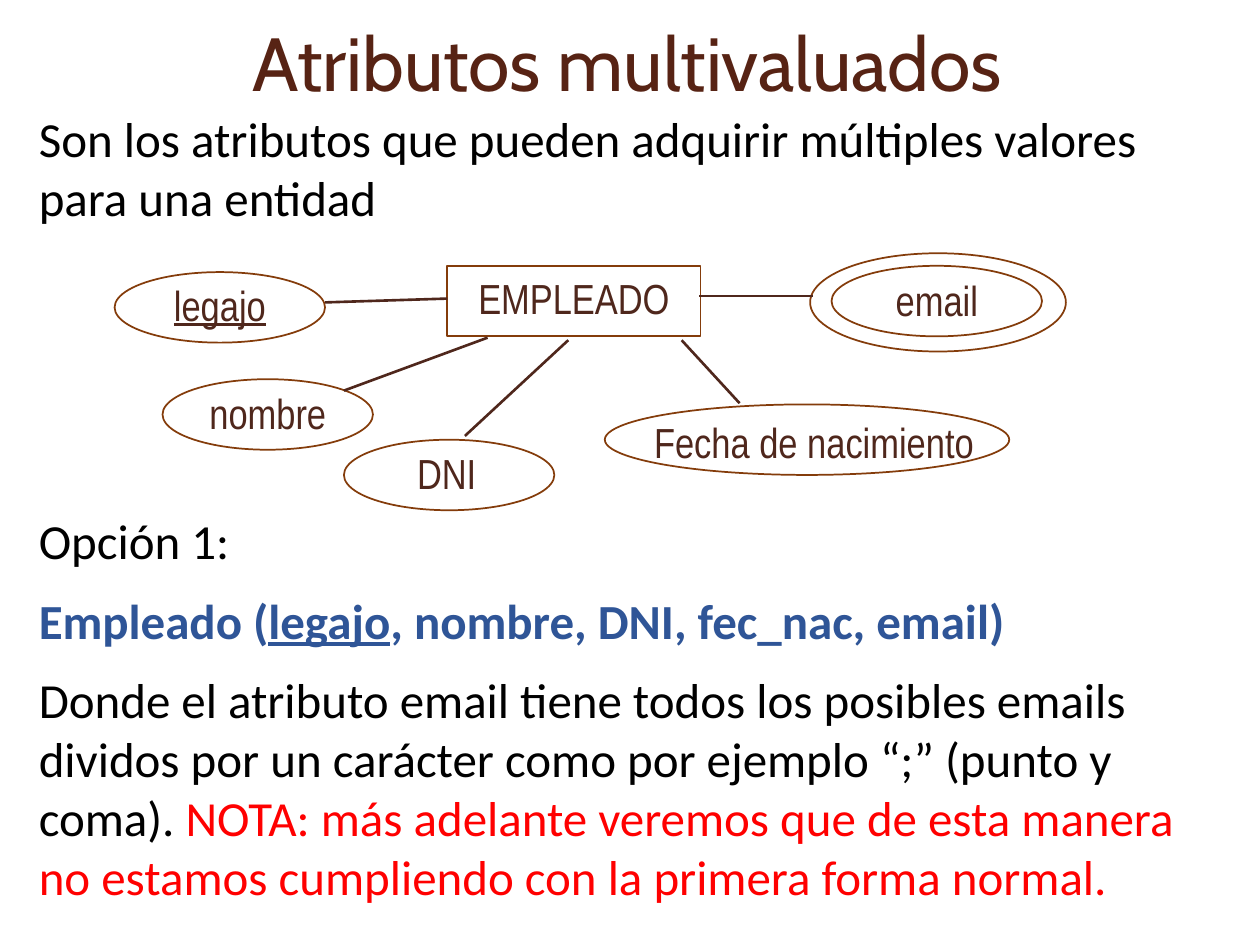
from lxml.etree import SubElement
from pptx import Presentation
from pptx.dml.color import RGBColor
from pptx.enum.shapes import MSO_CONNECTOR as Connector, MSO_SHAPE as Shape
from pptx.enum.text import MSO_ANCHOR as Anchor, MSO_AUTO_SIZE as AutoSize, PP_ALIGN as Align
from pptx.oxml.ns import qn
from pptx.util import Inches, Pt

COLUMNS, ROWS = 100, 75
BLACK, BLUE, RED = "000000", "2F5597", "FF0000"


def color(hex_code):
    """Turn a hex string into a colour."""
    return RGBColor.from_string(hex_code)


class DiagramSlide:
    """Hold the style and the current slide, and draw on a grid of cells."""

    title_font, body_font, label_font = "Cabin", "Calibri", "Arial Narrow"
    title_color, ink, outline = "572314", "4F271C", "843C0B"

    def __init__(self, deck):
        """Add a title-only slide and measure its grid."""
        self.slide = deck.slides.add_slide(deck.slide_layouts[5])
        self.column = deck.slide_width / COLUMNS
        self.row = deck.slide_height / ROWS

    def place(self, *cells):
        """Convert alternating columns and rows to lengths."""
        units = (self.column, self.row)
        return [round(cell * units[i % 2]) for i, cell in enumerate(cells)]

    def span(self, para, text, font, size, hex_code, bold=False, underline=False):
        """Add one formatted run."""
        run = para.add_run()
        run.text = text
        run.font.name, run.font.size = font, Pt(size)
        run.font.bold, run.font.underline = bold, underline
        run.font.color.rgb = color(hex_code)

    def title(self, text, area):
        """Place and format the title placeholder."""
        box = self.slide.shapes.title
        box.left, box.top, box.width, box.height = self.place(*area)
        frame = box.text_frame
        frame.auto_size, frame.word_wrap = AutoSize.NONE, True
        frame.vertical_anchor = Anchor.MIDDLE
        para = frame.paragraphs[0]
        para.alignment = Align.CENTER
        self.span(para, text, self.title_font, 43, self.title_color)

    def body(self, area, paragraphs):
        """Add a wrapped text box from paragraphs of styled spans."""
        frame = self.slide.shapes.add_textbox(*self.place(*area)).text_frame
        frame.word_wrap = True
        for i, spans in enumerate(paragraphs):
            para = frame.add_paragraph() if i else frame.paragraphs[0]
            if i:
                para.space_before = Pt(12)
            for text, *style in spans:
                self.span(para, text, self.body_font, 28, *style)

    def label(self, text, area, underline=False):
        """Add a centred diagram label."""
        frame = self.slide.shapes.add_textbox(*self.place(*area)).text_frame
        frame.word_wrap = False
        para = frame.paragraphs[0]
        para.alignment = Align.CENTER
        self.span(para, text, self.label_font, 24, self.ink, underline=underline)

    def node(self, kind, area):
        """Add an outlined, unfilled shape."""
        shape = self.slide.shapes.add_shape(kind, *self.place(*area))
        shape.shadow.inherit = False
        shape.fill.background()
        shape.line.color.rgb = color(self.outline)
        shape.line.width = Pt(1)

    def link(self, ends):
        """Add a straight line between two grid points."""
        line = self.slide.shapes.add_connector(Connector.STRAIGHT, *self.place(*ends))
        line.line.color.rgb = color(self.ink)
        line.line.width = Pt(1.5)
        SubElement(line._element.spPr, qn("a:effectLst"))


def main():
    """Build the slide on multivalued attributes."""
    deck = Presentation()
    deck.slide_width, deck.slide_height = Inches(10), Inches(7.5)
    page = DiagramSlide(deck)
    left, width = 2.1, 95.4
    page.title("Atributos multivaluados", (left, 0, width, 9.7))
    page.body((left, 8.1, width, 15.1), [
        [("Son los atributos que pueden adquirir múltiples valores para una entidad", BLACK)],
    ])
    page.body((left, 40, width, 33.8), [
        [("Opción 1:", BLACK)],
        [("Empleado (", BLUE, True), ("legajo", BLUE, True, True),
         (", nombre, DNI, fec_nac, email)", BLUE, True)],
        [("Donde el atributo email tiene todos los posibles emails dividos por un carácter "
          "como por ejemplo “;” (punto y coma). ", BLACK),
         ("NOTA: más adelante veremos que de esta manera no estamos cumpliendo "
          "con la primera forma normal.", RED)],
    ])

    node_height, label_height = 5.6, 5.1
    entity = (35.5, 21.1, 20.1)
    page.node(Shape.RECTANGLE, (*entity, node_height))
    page.label("EMPLEADO", (*entity, label_height))

    narrow, wide = (16.7, 13.9), (32.1, 31)
    attributes = [
        ("legajo", 9.1, 21.6, narrow, 1.4, 0.1),
        ("nombre", 12.9, 30.1, narrow, 1.4, 0.2),
        ("DNI", 27.3, 34.9, narrow, 1.2, 0.1),
        ("Fecha de nacimiento", 48, 32.1, wide, 1.1, 0.5),
        ("email", 66, 21.1, narrow, 1.4, 0.2),
    ]
    for name, x, y, (node_width, label_width), indent, drop in attributes:
        page.node(Shape.OVAL, (x, y, node_width, node_height))
        page.label(name, (x + indent, y + drop, label_width, label_height), name == "legajo")
    page.node(Shape.OVAL, (64.3, 20.1, 20.3, 7.8))

    for ends in [
        (35.5, 23.7, 25.8, 24),
        (38.7, 26.8, 27.3, 31),
        (45.1, 27, 36.9, 34.6),
        (54.1, 27, 58.7, 32),
        (64.5, 23.5, 55.5, 23.5),
    ]:
        page.link(ends)
    deck.save("out.pptx")


if __name__ == "__main__":
    main()
